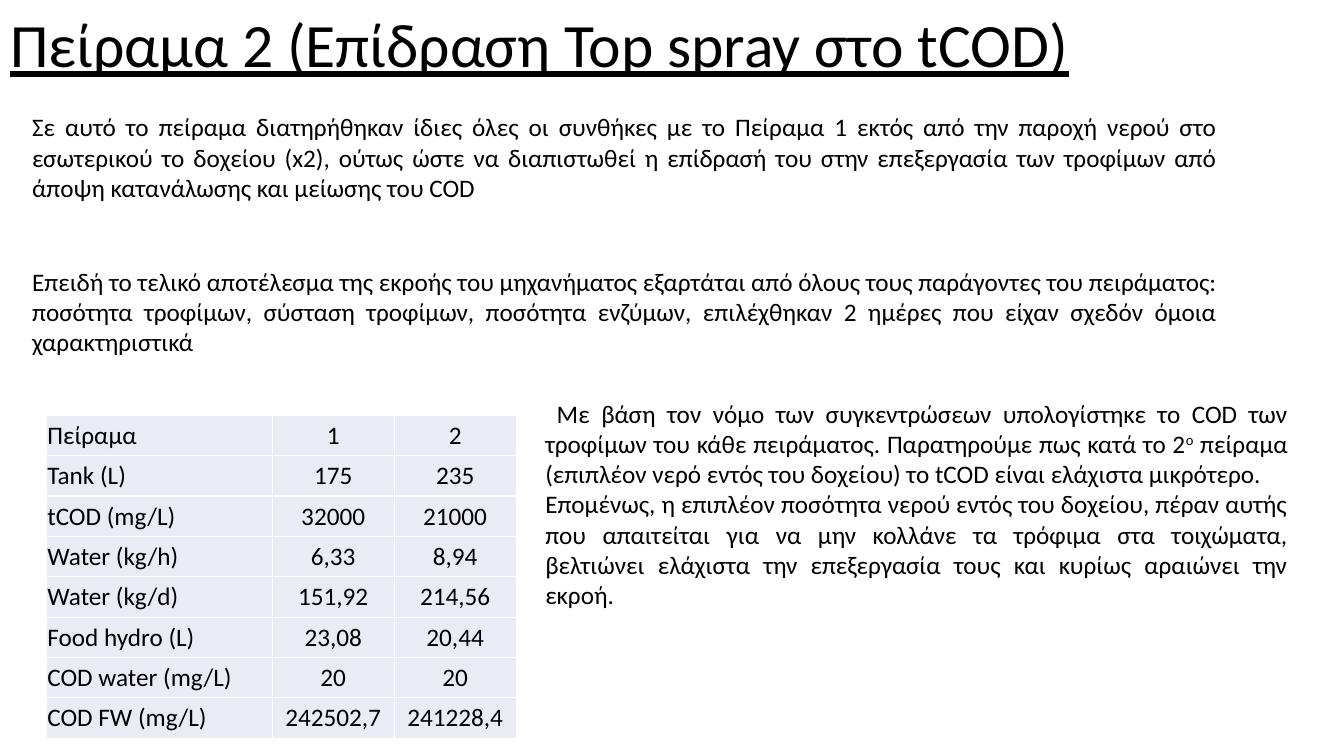
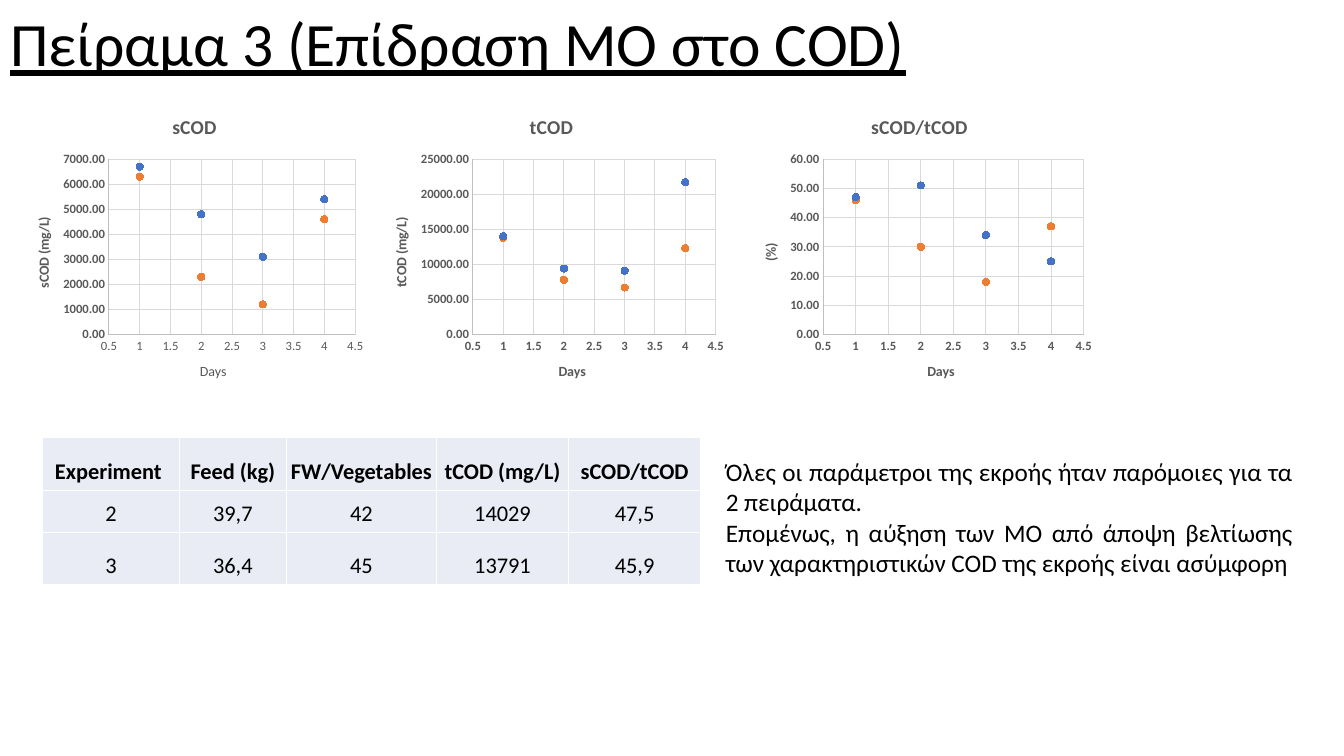
import pptx
import pptx.chart.data
import pptx.dml.color
import pptx.enum.chart
import pptx.enum.text
import pptx.oxml
import pptx.oxml.ns
import pptx.util
from pptx.util import Inches

FONT = "Calibri"
COLOURS = {
    "text": "000000",
    "cell": "E9EBF5",
    "border": "FFFFFF",
    "chart_text": "595959",
    "axis": "BFBFBF",
    "grid": "D9D9D9",
    "blue": "4472C4",
    "orange": "ED7D31",
}
ALIGN = pptx.enum.text.PP_ALIGN
ANCHOR = pptx.enum.text.MSO_ANCHOR
DAYS = [1, 2, 3, 4]


def colour(name):
    return pptx.dml.color.RGBColor.from_string(COLOURS[name])


def format_font(font, size=18, bold=False, underline=None, ink="text"):
    font.name = FONT
    font.size = pptx.util.Pt(size)
    font.bold = bold
    font.underline = underline
    font.color.rgb = colour(ink)


def add_span(para, text, align=None, raised=False, **style):
    if align is not None:
        para.alignment = align
    span = para.add_run()
    span.text = text
    format_font(span.font, **style)
    if raised:
        span._r.get_or_add_rPr().set("baseline", "30000")


def add_page(deck, title, width, height):
    page = deck.slides.add_slide(deck.slide_layouts[5])
    box = page.shapes.title
    box.left, box.top = Inches(0), Inches(0.02)
    box.width, box.height = Inches(width), Inches(height)
    box.text_frame.vertical_anchor = ANCHOR.MIDDLE
    para = box.text_frame.paragraphs[0]
    para.line_spacing = 0.9
    add_span(para, title, align=ALIGN.LEFT, size=44, underline=True)
    return page


def add_text(page, left, top, width, height, paragraphs):
    box = page.shapes.add_textbox(
        Inches(left), Inches(top), Inches(width), Inches(height))
    frame = box.text_frame
    frame.word_wrap = True
    frame.auto_size = pptx.enum.text.MSO_AUTO_SIZE.SHAPE_TO_FIT_TEXT
    for index, spans in enumerate(paragraphs):
        para = frame.add_paragraph() if index else frame.paragraphs[0]
        for text, raised in spans:
            add_span(para, text, align=ALIGN.JUSTIFY, raised=raised)


def add_borders(cell):
    properties = cell._tc.get_or_add_tcPr()
    for side in ("lnL", "lnR", "lnT", "lnB"):
        properties.append(pptx.oxml.parse_xml(
            f'<a:{side} {pptx.oxml.ns.nsdecls("a")} w="{pptx.util.Pt(0.96)}">'
            f'<a:solidFill><a:srgbClr val="{COLOURS["border"]}"/></a:solidFill>'
            f'</a:{side}>'))


def add_grid(page, left, top, widths, heights, rows, size,
             bold_header=False, left_labels=False):
    table = page.shapes.add_table(
        len(rows), len(widths), Inches(left), Inches(top),
        Inches(sum(widths)), Inches(sum(heights))).table
    table.first_row = table.horz_banding = False
    for column, width in zip(table.columns, widths):
        column.width = Inches(width)
    for r, (height, row) in enumerate(zip(heights, rows)):
        table.rows[r].height = Inches(height)
        for c, text in enumerate(row):
            cell = table.cell(r, c)
            add_borders(cell)
            cell.fill.solid()
            cell.fill.fore_color.rgb = colour("cell")
            cell.margin_left = cell.margin_right = Inches(0.01)
            cell.vertical_anchor = ANCHOR.BOTTOM
            align = ALIGN.LEFT if left_labels and c == 0 else ALIGN.CENTER
            add_span(cell.text_frame.paragraphs[0], text, align=align,
                     size=size, bold=bold_header and r == 0)


def format_axis(axis, title, low, high, step, number_format, bold):
    axis.minimum_scale, axis.maximum_scale = low, high
    axis.major_unit = step
    axis.major_tick_mark = pptx.enum.chart.XL_TICK_MARK.NONE
    axis.minor_tick_mark = pptx.enum.chart.XL_TICK_MARK.NONE
    axis.has_major_gridlines = True
    for line, ink in ((axis.format.line, "axis"),
                      (axis.major_gridlines.format.line, "grid")):
        line.width = pptx.util.Pt(0.75)
        line.color.rgb = colour(ink)
    labels = axis.tick_labels
    labels.number_format = number_format
    labels.number_format_is_linked = False
    format_font(labels.font, size=9, bold=bold, ink="chart_text")
    add_span(axis.axis_title.text_frame.paragraphs[0], title,
             size=10, bold=bold, ink="chart_text")


def place_plot(chart, x, y, width, height):
    area = chart._chartSpace.chart.plotArea
    for layout in area.findall(pptx.oxml.ns.qn("c:layout")):
        area.remove(layout)
    sizes = "".join(f'<c:{tag} val="{value}"/>' for tag, value in
                    (("x", x), ("y", y), ("w", width), ("h", height)))
    area.insert(0, pptx.oxml.parse_xml(
        f'<c:layout {pptx.oxml.ns.nsdecls("c")}><c:manualLayout>'
        '<c:layoutTarget val="inner"/><c:xMode val="edge"/>'
        f'<c:yMode val="edge"/>{sizes}</c:manualLayout></c:layout>'))


def add_scatter(page, left, title, unit, high, step, blue, orange,
                plot_x, plot_width, bold_days=True):
    data = pptx.chart.data.XyChartData()
    for name, values in (("Series 1", blue), ("Series 2", orange)):
        series = data.add_series(name)
        for day, value in zip(DAYS, values):
            series.add_data_point(day, value)
    chart = page.shapes.add_chart(
        pptx.enum.chart.XL_CHART_TYPE.XY_SCATTER, Inches(left), Inches(0.98),
        Inches(3.54), Inches(3), data).chart
    format_font(chart.font, size=10)
    chart.has_legend = False
    chart.has_title = True
    chart.chart_title.include_in_layout = False
    add_span(chart.chart_title.text_frame.paragraphs[0], title,
             size=14, bold=True, ink="chart_text")
    format_axis(chart.category_axis, "Days", 0.5, 4.5, 0.5, "General", bold_days)
    format_axis(chart.value_axis, unit, 0, high, step, "0.00", True)
    place_plot(chart, plot_x, 0.2, plot_width, 0.58)
    chart.plots[0].vary_by_categories = False
    for series, ink in zip(chart.plots[0].series, ("blue", "orange")):
        series.format.line.fill.background()
        series.marker.style = pptx.enum.chart.XL_MARKER_STYLE.CIRCLE
        series.marker.size = 5
        series.marker.format.fill.solid()
        series.marker.format.fill.fore_color.rgb = colour(ink)
        series.marker.format.line.color.rgb = colour(ink)


def build_spray_page(deck):
    page = add_page(deck, "Πείραμα 2 (Επίδραση Top spray στο tCOD)", 12.46, 0.91)
    add_text(page, 5.31, 3.9, 7.56, 2.5, [
        [(" Με βάση τον νόμο των συγκεντρώσεων υπολογίστηκε το COD των τροφίμων "
          "του κάθε πειράματος. Παρατηρούμε πως κατά το 2", False),
         ("ο", True),
         (" πείραμα (επιπλέον νερό εντός του δοχείου) το tCOD είναι ελάχιστα "
          "μικρότερο. ", False)],
        [("Επομένως, η επιπλέον ποσότητα νερού εντός του δοχείου, πέραν αυτής "
          "που απαιτείται για να μην κολλάνε τα τρόφιμα στα τοιχώματα, βελτιώνει "
          "ελάχιστα την επεξεργασία τους και κυρίως αραιώνει την εκροή.", False)],
    ])
    add_text(page, 0.22, 1.06, 11.95, 1, [[(
        "Σε αυτό το πείραμα διατηρήθηκαν ίδιες όλες οι συνθήκες με το Πείραμα 1 "
        "εκτός από την παροχή νερού στο εσωτερικού το δοχείου (x2), ούτως ώστε "
        "να διαπιστωθεί η επίδρασή του στην επεξεργασία των τροφίμων από άποψη "
        "κατανάλωσης και μείωσης του COD", False)]])
    add_text(page, 0.22, 2.59, 11.95, 1, [[(
        "Επειδή το τελικό αποτέλεσμα της εκροής του μηχανήματος εξαρτάται από "
        "όλους τους παράγοντες του πειράματος: ποσότητα τροφίμων, σύσταση "
        "τροφίμων, ποσότητα ενζύμων, επιλέχθηκαν 2 ημέρες που είχαν σχεδόν "
        "όμοια χαρακτηριστικά", False)]])
    rows = [
        ("Πείραμα", "1", "2"),
        ("Tank (L)", "175", "235"),
        ("tCOD (mg/L)", "32000", "21000"),
        ("Water (kg/h)", "6,33", "8,94"),
        ("Water (kg/d)", "151,92", "214,56"),
        ("Food hydro (L)", "23,08", "20,44"),
        ("COD water (mg/L)", "20", "20"),
        ("COD FW (mg/L)", "242502,7", "241228,4"),
    ]
    add_grid(page, 0.46, 4.12, [2.24, 1.21, 1.21], [0.29] * len(rows), rows,
             size=18, left_labels=True)


def build_organism_page(deck):
    page = add_page(deck, "Πείραμα 3 (Επίδραση ΜΟ στο COD)", 11.5, 0.89)
    add_scatter(page, 0.16, "sCOD", "sCOD (mg/L)", 7000, 1000,
                [6700, 4800, 3100, 5400], [6300, 2300, 1200, 4600],
                0.26, 0.69, bold_days=False)
    add_scatter(page, 3.7, "tCOD", "tCOD (mg/L)", 25000, 5000,
                [14000, 9400, 9100, 21700], [13800, 7800, 6700, 12300],
                0.28, 0.68)
    add_scatter(page, 7.35, "sCOD/tCOD", "(%)", 60, 10,
                [47, 51, 34, 25], [46, 30, 18, 37], 0.23, 0.73)
    add_grid(page, 0.42, 4.34, [1.36, 1.06, 1.49, 1.31, 1.31],
             [0.53, 0.41, 0.52], [
                 ("Experiment ", "Feed (kg)", "FW/Vegetables", "tCOD (mg/L)",
                  "sCOD/tCOD"),
                 ("2", "39,7", "42", "14029", "47,5"),
                 ("3", "36,4", "45", "13791", "45,9"),
             ], size=16, bold_header=True)
    add_text(page, 7.1, 4.48, 5.82, 1.6, [
        [("Όλες οι παράμετροι της εκροής ήταν παρόμοιες για τα 2 πειράματα. ",
          False)],
        [("Επομένως, η αύξηση των ΜΟ από άποψη βελτίωσης των χαρακτηριστικών "
          "COD της εκροής είναι ασύμφορη", False)],
    ])


def main():
    deck = pptx.Presentation()
    deck.slide_width, deck.slide_height = Inches(13.33), Inches(7.5)
    build_spray_page(deck)
    build_organism_page(deck)
    deck.save("out.pptx")


if __name__ == "__main__":
    main()
